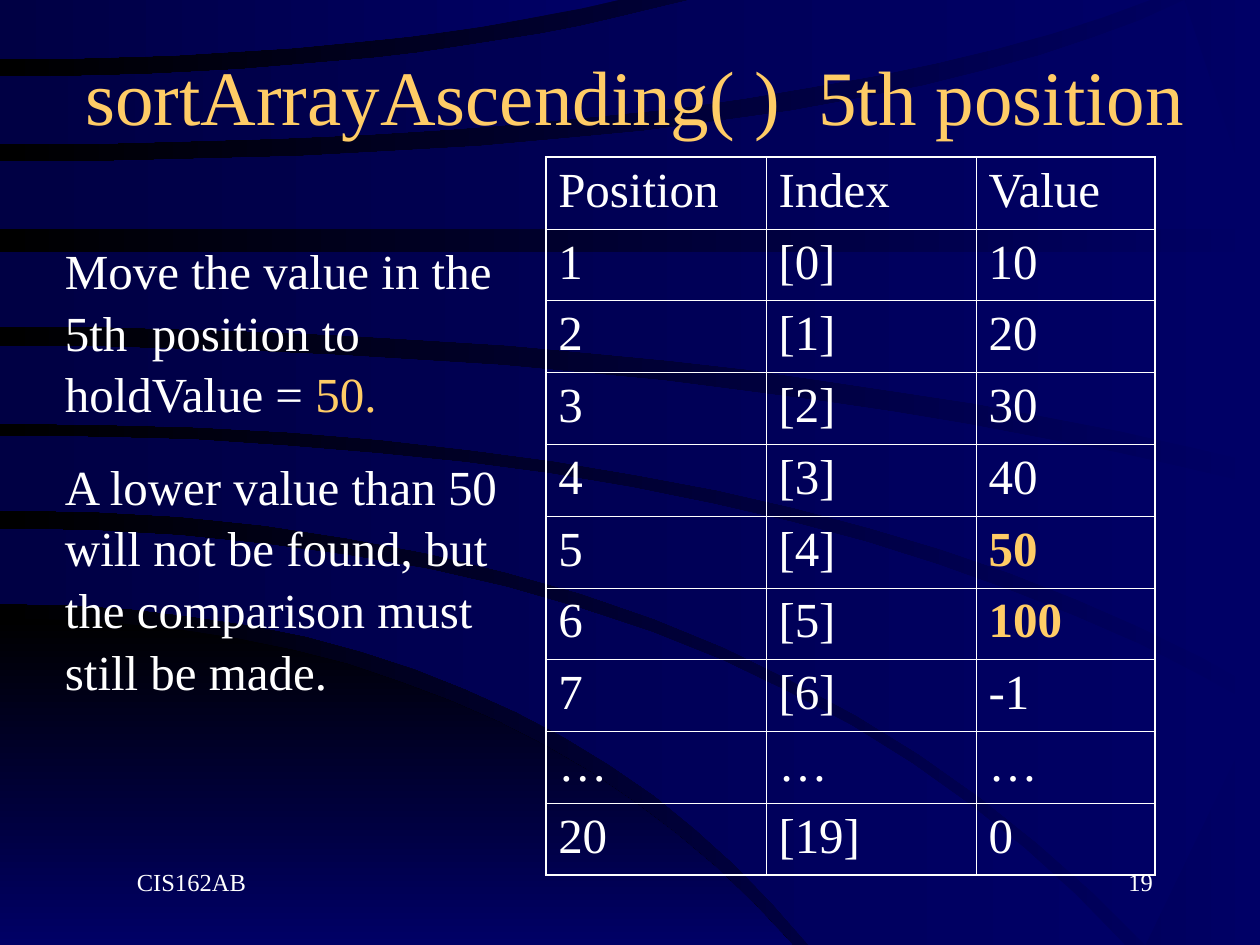
from lxml import etree
from pptx import Presentation
from pptx.dml.color import RGBColor
from pptx.enum.text import MSO_ANCHOR as Anchor, PP_ALIGN as Align
from pptx.oxml.ns import qn
from pptx.util import Cm, Pt

COLORS = {"navy": "000066", "midnight": "000044", "black": "000000",
          "white": "FFFFFF", "gold": "FFCC66"}
FONT = "Times New Roman"
WIDTH, HEIGHT = 25.4, 19.05
GRID = Cm(WIDTH) / 1000  # sweeps are laid out on a 1000 x 750 grid
CURVE_STEPS = 16

# Upper and lower edge of each sweep, from back to front.
# An edge leaves the left side level: (start y, bend x, end x, end y).
SWEEPS = [
    ((491, 400, 629, 750), (750, 300, 600, 750)),
    ((420, 590, 893, 750), (479, 420, 642, 750)),
    ((346, 632, 1000, 562), (405, 583, 909, 750)),
    ((275, 552, 1000, 385), (336, 638, 1000, 548)),
    ((200, 500, 1000, 200), (259, 560, 1000, 368)),
    ((128, 672, 940, 0), (182, 500, 1000, 182)),
    ((61, 322, 548, 0), (114, 615, 913, 0)),
    ((0, 250, 491, 0), (47, 285, 491, 0)),
]
ROWS = [("Position", "Index", "Value"),
        ("1", "[0]", "10"), ("2", "[1]", "20"), ("3", "[2]", "30"),
        ("4", "[3]", "40"), ("5", "[4]", "50"), ("6", "[5]", "100"),
        ("7", "[6]", "-1"), ("…", "…", "…"), ("20", "[19]", "0")]
HIGHLIGHTS = {"50", "100"}
COLUMN_SHARES = (1.75, 1.67, 1.42)


def rgb(name):
    return RGBColor.from_string(COLORS[name])


def fade(fill, start, end, angle):
    fill.gradient()
    fill.gradient_angle = angle
    for stop, name in zip(fill.gradient_stops, (start, end)):
        stop.color.rgb = rgb(name)


def add_run(paragraph, text, size, color="white", bold=False):
    run = paragraph.add_run()
    run.text = text
    run.font.name, run.font.size, run.font.bold = FONT, Pt(size), bold
    run.font.color.rgb = rgb(color)


def edge_points(start_y, bend_x, end_x, end_y):
    """Sample a quadratic curve that starts level at the left side."""
    points = []
    for step in range(CURVE_STEPS + 1):
        t = step / CURVE_STEPS
        points.append((2 * t * (1 - t) * bend_x + t * t * end_x,
                       start_y + t * t * (end_y - start_y)))
    return points


def add_sweeps(slide):
    fade(slide.background.fill, "navy", "black", 180)
    for index, (upper, lower) in enumerate(SWEEPS):
        start, *rest = edge_points(*upper) + edge_points(*lower)[::-1]
        builder = slide.shapes.build_freeform(*start, scale=GRID)
        builder.add_line_segments(rest, close=True)
        sweep = builder.convert_to_shape()
        sweep.shadow.inherit = False
        sweep.line.fill.background()
        if index == 0:
            fade(sweep.fill, "black", "navy", 270)
        else:
            fade(sweep.fill, "navy", "midnight", 180)


def place_title(slide, left, top, width, height):
    title = slide.shapes.title
    slide.shapes._spTree.append(title._element)  # bring in front of the sweeps
    title.left, title.top, title.width, title.height = map(Cm, (left, top, width, height))
    title.text_frame.vertical_anchor = Anchor.MIDDLE
    heading = title.text_frame.paragraphs[0]
    heading.alignment = Align.CENTER
    add_run(heading, "sortArrayAscending( )  5th position", 44, "gold")


def add_text_frame(slide, left, top, width, height):
    frame = slide.shapes.add_textbox(*map(Cm, (left, top, width, height))).text_frame
    frame.word_wrap = True
    return frame


def add_explanation(slide, left, top, width, height):
    frame = add_text_frame(slide, left, top, width, height)
    move, compare = frame.paragraphs[0], frame.add_paragraph()
    for paragraph in (move, compare):
        paragraph.space_before = Pt(17.5)
        paragraph.line_spacing = 1.05
    add_run(move, "Move the value in the 5th  position to holdValue = ", 28)
    add_run(move, "50.", 28, "gold")
    add_run(compare, "A lower value than 50 will not be found, "
                     "but the comparison must still be made.", 28)


def set_borders(cell, outer_sides):
    """Draw thick lines on the outer sides and thin ones elsewhere."""
    properties = cell._tc.get_or_add_tcPr()
    for position, side in enumerate("LRTB"):
        weight = Pt(1.08 if side in outer_sides else 0.45)
        line = etree.Element(qn(f"a:ln{side}"), w=str(weight))
        solid = etree.SubElement(line, qn("a:solidFill"))
        etree.SubElement(solid, qn("a:srgbClr"), val=COLORS["white"])
        properties.insert(position, line)


def add_array_table(slide, left, top, width, height):
    last_row, last_column = len(ROWS) - 1, len(COLUMN_SHARES) - 1
    table = slide.shapes.add_table(len(ROWS), len(COLUMN_SHARES),
                                   *map(Cm, (left, top, width, height))).table
    table.first_row = table.horz_banding = False
    for column, share in zip(table.columns, COLUMN_SHARES):
        column.width = Cm(width * share / sum(COLUMN_SHARES))
    for r, values in enumerate(ROWS):
        table.rows[r].height = Cm(height / len(ROWS))
        for c, value in enumerate(values):
            cell = table.cell(r, c)
            cell.fill.background()
            outer = {"L": c == 0, "R": c == last_column, "T": r == 0, "B": r == last_row}
            set_borders(cell, {side for side, is_outer in outer.items() if is_outer})
            paragraph = cell.text_frame.paragraphs[0]
            paragraph.space_before = Pt(7)
            marked = value in HIGHLIGHTS
            add_run(paragraph, value, 28, "gold" if marked else "white", marked)


def add_footer(slide, text, alignment, left, top, width, height):
    frame = add_text_frame(slide, left, top, width, height)
    frame.margin_left = Cm(0.86)
    frame.paragraphs[0].alignment = alignment
    add_run(frame.paragraphs[0], text, 14)


def main():
    deck = Presentation()
    deck.slide_width, deck.slide_height = Cm(WIDTH), Cm(HEIGHT)
    slide = deck.slides.add_slide(deck.slide_layouts[5])
    add_sweeps(slide)
    place_title(slide, 1.06, 0.85, 23.5, 2.12)
    add_array_table(slide, 11, 3.17, 12.28, 14.47)
    add_explanation(slide, 1.06, 4.66, 9.31, 10.97)
    add_footer(slide, "19", Align.RIGHT, 18.2, 17.36, 5.29, 1.27)
    add_footer(slide, "CIS162AB", Align.LEFT, 1.9, 17.36, 5.29, 1.27)
    deck.save("out.pptx")


if __name__ == "__main__":
    main()
